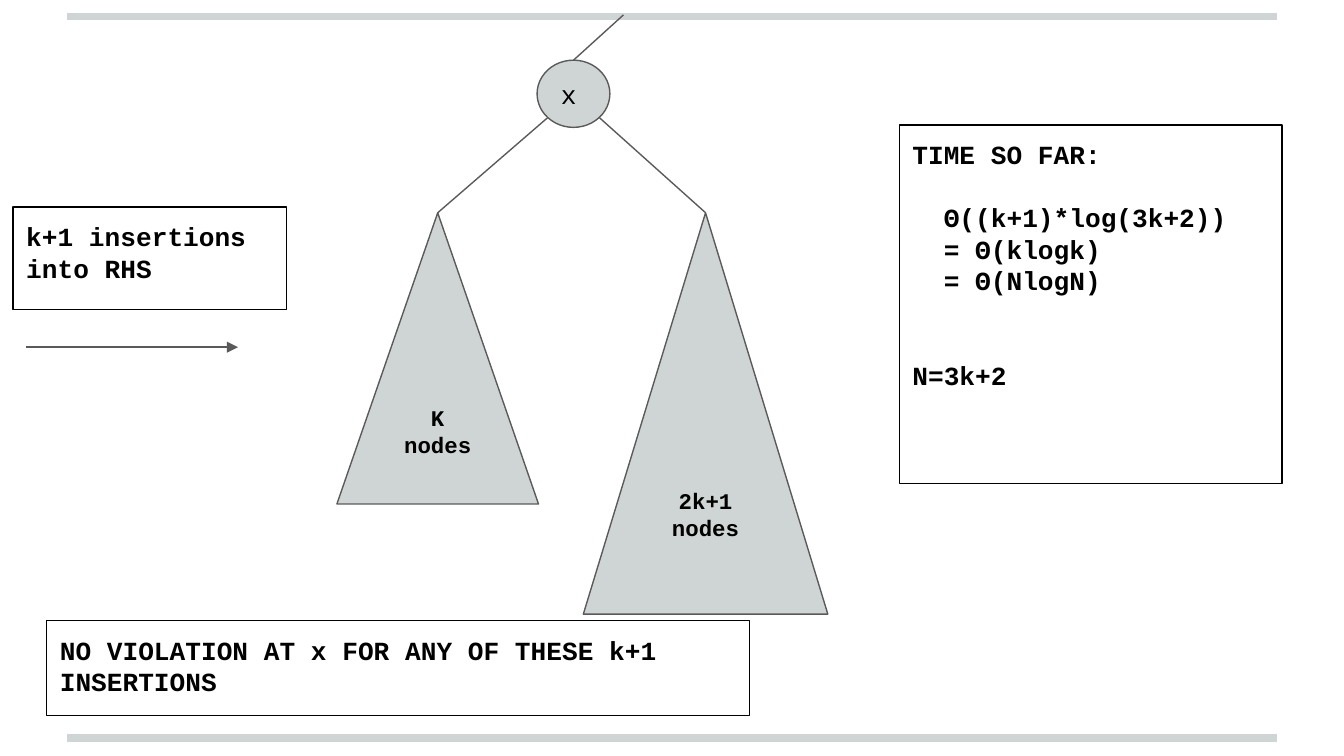
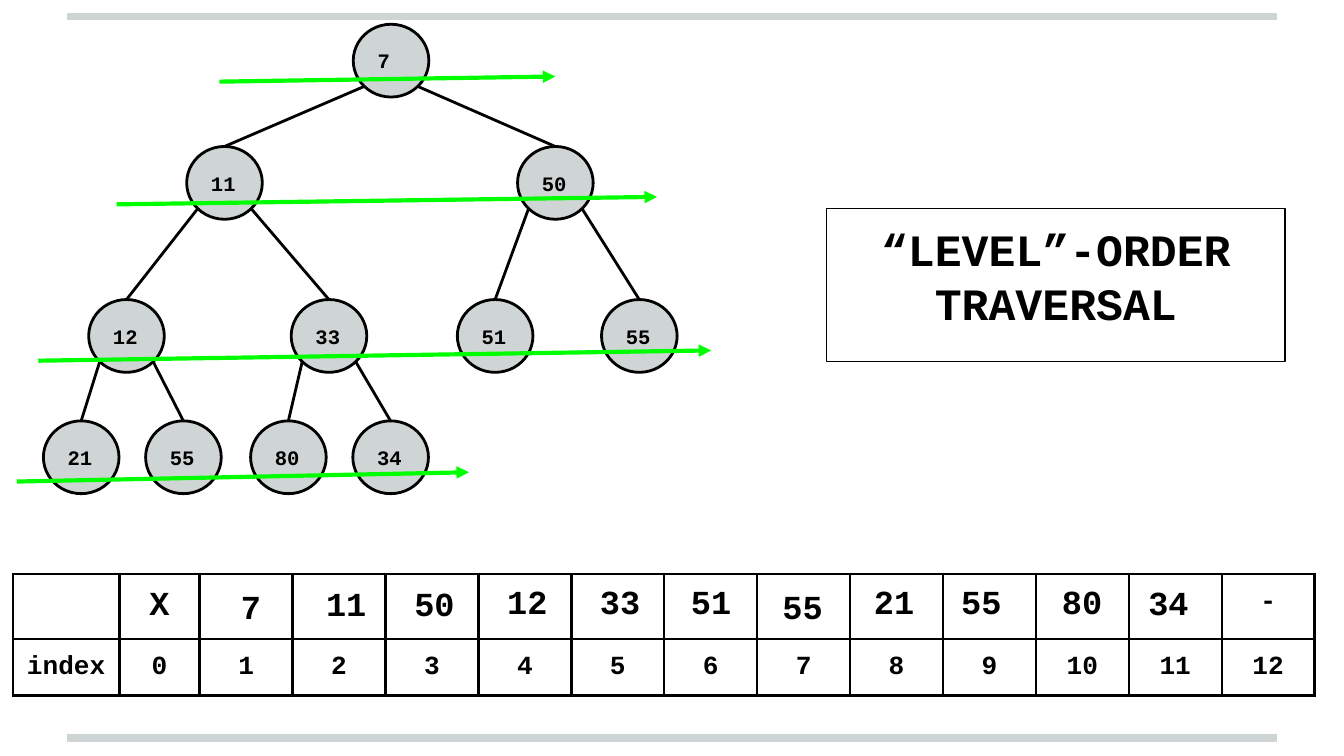
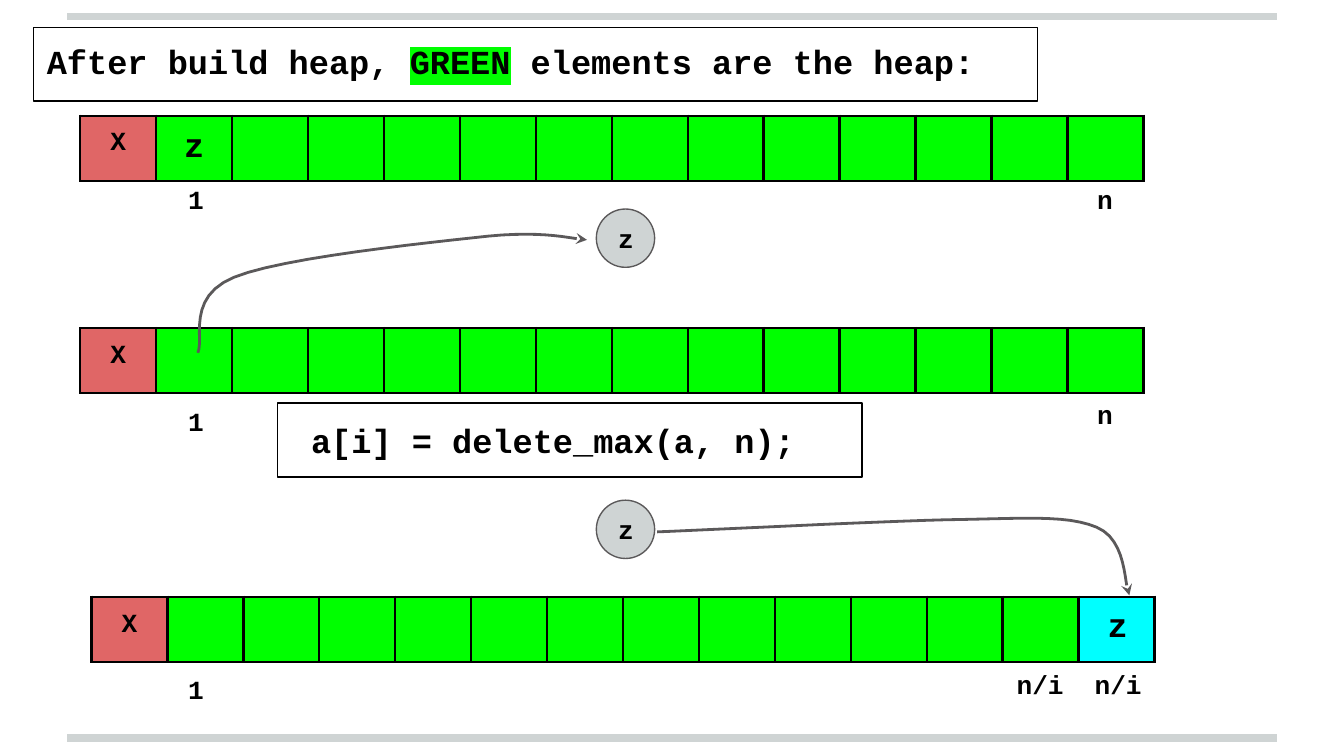
"""Build three slides on heap insertion, level-order storage and heap sort."""
from dataclasses import dataclass

from lxml import etree
from pptx import Presentation
from pptx import util as u
from pptx.dml.color import RGBColor
from pptx.enum import shapes, text
from pptx.oxml.ns import qn


@dataclass(frozen=True)
class Theme:
    """Colours, font and type sizes of the deck."""
    font: str = "Courier New"
    black: str = "000000"
    grey: str = "CFD4D4"
    dark: str = "5B595A"
    green: str = "00FF00"
    red: str = "E06666"
    cyan: str = "00FFFF"
    tiny: float = 11
    small: float = 12
    body: float = 14
    large: float = 18
    title: float = 24
    thin: float = 0.75
    thick: float = 1.5
    arrow: float = 2.25
    band: float = 4
    inset: float = 7.2


T = Theme()
LEFT, CENTER = text.PP_ALIGN.LEFT, text.PP_ALIGN.CENTER
TOP, MIDDLE = text.MSO_ANCHOR.TOP, text.MSO_ANCHOR.MIDDLE
OVAL, RECT = shapes.MSO_SHAPE.OVAL, shapes.MSO_SHAPE.RECTANGLE
TRIANGLE = shapes.MSO_SHAPE.ISOSCELES_TRIANGLE


def pts(*values):
    """Turn numbers into point lengths."""
    return [u.Pt(v) for v in values]


def rgb(value):
    """Turn a hex string into a colour."""
    return RGBColor.from_string(value)


def style_text(tf, size, align=LEFT, anchor=TOP, bold=True):
    """Format every run of a text frame."""
    tf.word_wrap = True
    tf.vertical_anchor = anchor
    tf.margin_left = tf.margin_right = tf.margin_top = tf.margin_bottom = u.Pt(T.inset)
    for p in tf.paragraphs:
        p.alignment = align
        for r in p.runs:
            r.font.name, r.font.size, r.font.bold = T.font, u.Pt(size), bold
            r.font.color.rgb = rgb(T.black)


def add_label(s, label, at, size, anchor=TOP):
    """Add a centred label without an outline."""
    tf = s.shapes.add_textbox(*pts(*at)).text_frame
    tf.text = label
    style_text(tf, size, CENTER, anchor)


def add_figure(s, kind, label, at, size, align=LEFT, anchor=MIDDLE, bold=True,
               fill=T.grey, line=T.dark, width=T.thin):
    """Add a preset shape with text in it."""
    sp = s.shapes.add_shape(kind, *pts(*at))
    sp.shadow.inherit = False
    if fill:
        sp.fill.solid()
        sp.fill.fore_color.rgb = rgb(fill)
    else:
        sp.fill.background()
    sp.line.color.rgb, sp.line.width = rgb(line), u.Pt(width)
    sp.text_frame.text = label
    style_text(sp.text_frame, size, align, anchor, bold)
    return sp


def add_box(s, label, at, size, align=LEFT, anchor=TOP):
    """Add an outlined text box."""
    return add_figure(s, RECT, label, at, size, align, anchor, fill=None, line=T.black)


def add_head(sp, kind):
    """Put an arrowhead on the far end of a line."""
    etree.SubElement(sp.element.spPr.find(qn("a:ln")), qn("a:tailEnd"), type=kind)


def add_line(s, ends, color=T.dark, width=T.thin, head=None):
    """Add a straight line, with an arrowhead if one is named."""
    cn = s.shapes.add_connector(shapes.MSO_CONNECTOR.STRAIGHT, *pts(*ends))
    cn.line.color.rgb, cn.line.width = rgb(color), u.Pt(width)
    if head:
        add_head(cn, head)
    etree.SubElement(cn.element.spPr, qn("a:effectLst"))
    return cn


def add_edge(s, parent, child, color=T.dark, width=T.thin):
    """Join the lower side of a round node to the top of its child."""
    side = -1 if child.left < parent.left else 1
    x = parent.left + parent.width * (0.5 + side * 0.354)
    y = parent.top + parent.height * 0.854
    cn = add_line(s, (u.Emu(int(x)).pt, u.Emu(int(y)).pt, 0, 0), color, width)
    cn.end_connect(child, 0)


def add_curve(s, start, curves, steps=12):
    """Add an open arrow along cubic curves."""
    points, origin = [], start
    for a, b, end in curves:
        for i in range(1, steps + 1):
            t = i / steps
            weights = ((1 - t) ** 3, 3 * t * (1 - t) ** 2, 3 * t * t * (1 - t), t ** 3)
            points.append(pts(*(sum(w * q for w, q in zip(weights, axis))
                                for axis in zip(origin, a, b, end))))
        origin = end
    builder = s.shapes.build_freeform(*pts(*start))
    builder.add_line_segments(points, close=False)
    sp = builder.convert_to_shape()
    sp.shadow.inherit = False
    sp.fill.background()
    sp.line.color.rgb, sp.line.width = rgb(T.dark), u.Pt(T.thick)
    add_head(sp, "stealth")


def style_cell(cell, label, size, fill):
    """Fill in a cell and give it black borders."""
    cell.text_frame.text = label
    style_text(cell.text_frame, size, CENTER)
    cell.margin_left = cell.margin_right = cell.margin_top = cell.margin_bottom = u.Pt(T.inset)
    cell.vertical_anchor = TOP
    if not label:
        end = etree.SubElement(cell.text_frame.paragraphs[0]._p, qn("a:endParaRPr"),
                               sz=str(T.large * 100))
        etree.SubElement(end, qn("a:latin"), typeface=T.font)
    if fill:
        cell.fill.solid()
        cell.fill.fore_color.rgb = rgb(fill)
    else:
        cell.fill.background()
    tc_pr = cell._tc.get_or_add_tcPr()
    for i, side in enumerate(("lnL", "lnR", "lnT", "lnB")):
        ln = etree.Element(qn(f"a:{side}"), w=str(u.Pt(T.thick)))
        paint = etree.SubElement(ln, qn("a:solidFill"))
        etree.SubElement(paint, qn("a:srgbClr"), val=T.black)
        tc_pr.insert(i, ln)


def add_grid(s, left, top, widths, heights, cells):
    """Add a table whose cells are (label, size, fill)."""
    frame = s.shapes.add_table(len(heights), len(widths),
                               *pts(left, top, sum(widths), sum(heights)))
    tb = frame.table
    tb.first_row = tb.horz_banding = False
    for column, width in zip(tb.columns, widths):
        column.width = u.Pt(width)
    for row, height, line in zip(tb.rows, heights, cells):
        row.height = u.Pt(height)
        for cell, content in zip(row.cells, line):
            style_cell(cell, *content)


def add_array(s, left, top, first="", last=T.green):
    """Add a one-row array of 14 cells with an unused cell 0."""
    cells = [("X", T.body, T.red), (first, T.large, T.green)]
    cells += [("", T.large, T.green)] * 11 + [("", T.large, last)]
    add_grid(s, left, top, [40.7] * 14, [30], [cells])


def add_bands(prs, s):
    """Put the top and bottom bands on the slide master."""
    for number, y in enumerate((395.5, 8.75), 100):
        cn = add_line(s, (36, y, 684, y), T.grey, T.band)
        cn.element.xpath(".//p:cNvPr")[0].set("id", str(number))
        prs.slide_master.shapes.element.append(cn.element)


def build_insertions(s):
    """Show the subtree sizes after k+1 insertions."""
    add_box(s, "k+1 insertions into RHS", (7, 111, 146.5, 55), T.body)
    add_line(s, (14, 186, 127.5, 186), head="triangle")
    x = add_figure(s, OVAL, "x", (287.75, 32.25, 39, 36), T.body, bold=False)
    for label, at in (("K nodes", (180.5, 114, 108, 156)),
                      ("2k+1 nodes", (312.5, 114, 131, 215))):
        add_edge(s, x, add_figure(s, TRIANGLE, label, at, T.small, CENTER))
    add_line(s, (0, 0, 334, 8)).begin_connect(x, 0)
    add_box(s, "NO VIOLATION AT x FOR ANY OF THESE k+1 INSERTIONS",
            (25, 332.5, 376.5, 51), T.body)
    times = add_box(s, "TIME SO FAR:\nΘ((k+1)*log(3k+2))\n= Θ(klogk)\n= Θ(NlogN)\nN=3k+2",
                    (481.75, 67, 205, 192), T.body)
    lines = times.text_frame.paragraphs
    for p in lines[1:4]:
        p._p.get_or_add_pPr().set("marL", str(u.Pt(16.8)))
    lines[1].space_before, lines[4].space_before = pts(17, 34)


def build_level_order(s):
    """Show a heap, its level order and its array."""
    tops = (13, 78.5, 160.5, 225.5)
    heap = [("7", 189.25), ("11", 100), ("50", 277.25), ("12", 47.5), ("33", 156),
            ("51", 245), ("55", 322.25), ("21", 23.25), ("55", 78), ("80", 134.25),
            ("34", 189)]
    nodes = []
    for i, (label, left) in enumerate(heap):
        top = tops[(i + 1).bit_length() - 1]
        nodes.append(add_figure(s, OVAL, label, (left, top, 40.5, 39), T.tiny,
                                line=T.black, width=T.thick))
        if i:
            add_edge(s, nodes[(i - 1) // 2], nodes[i], T.black, T.thick)

    values = [("", T.large, None), ("X", T.large, None)]
    values += [("", T.large, None)] * 11 + [("-", T.body, None)]
    indexes = [(str(v), T.body, None) for v in ("index", *range(13))]
    add_grid(s, 7, 307.5, [57, 43] + [49.8] * 12, [31, 30], [values, indexes])
    places = [(113.5, 306.5), (164.5, 305), (211.75, 305), (261.5, 304), (311.25, 304),
              (360, 304), (409, 306.5), (458, 304), (504.75, 304), (558.75, 304),
              (605, 304.5)]
    for (label, _), place in zip(heap, places):
        add_label(s, label, (*place, 42, 31.5), T.large)

    add_box(s, "“LEVEL”-ORDER TRAVERSAL", (442.75, 111.75, 245.75, 82), T.title, CENTER)
    for ends in ((117.5, 43.75, 297.5, 41), (62.5, 109.5, 352, 105.5),
                 (20.5, 193.25, 381, 187.75), (9, 258, 251.25, 253)):
        add_line(s, ends, T.green, T.arrow, "triangle")


def build_delete_max(s):
    """Show the maximum leaving the heap and moving to its end."""
    add_array(s, 43, 62, first="z")
    add_array(s, 43, 175.75)
    add_array(s, 49, 319.75, last=T.cyan)
    intro = add_box(s, "After build heap, ", (18, 14.75, 537.75, 39.5), T.large)
    p = intro.text_frame.paragraphs[0]
    for words in ("GREEN", " elements are the heap:"):
        p.add_run().text = words
    style_text(intro.text_frame, T.large)
    mark = etree.Element(qn("a:highlight"))
    etree.SubElement(mark, qn("a:srgbClr"), val=T.green)
    p.runs[1].font._element.find(qn("a:latin")).addprevious(mark)
    add_box(s, " a[i] = delete_max(a, n);", (148.75, 216, 313, 39.5), T.large, anchor=MIDDLE)

    for label, left, top, width in (("1", 89.5, 91, 31), ("n", 576.5, 91, 31),
                                    ("1", 89.5, 210, 31), ("n", 576.5, 206, 31),
                                    ("1", 89.5, 353.75, 31), ("n/i", 537.25, 351, 40),
                                    ("n/i", 579, 351, 40)):
        add_label(s, label, (left, top, width, 26.5), T.body)
    add_label(s, "z", (583.25, 321.25, 31, 26.5), T.large, MIDDLE)

    for top in (112, 268):
        add_figure(s, OVAL, "z", (319.5, top, 31.25, 31.25), T.body)
    add_curve(s, (106, 189), [((109.5, 182), (99.5, 159), (125.5, 148.5)),
                              ((151, 138), (229.5, 130), (261.5, 126.5)),
                              ((293, 123.5), (306, 128), (314.5, 128.5))])
    add_curve(s, (352, 285), [((378, 284), (467, 279.5), (507, 278.5)),
                              ((546, 278), (571, 275.5), (587.5, 282.5)),
                              ((604, 289.5), (602, 313), (605, 319))])


def main():
    """Build the deck and save it."""
    prs = Presentation()
    prs.slide_width, prs.slide_height = pts(720, 405)
    for number, build in enumerate((build_insertions, build_level_order, build_delete_max)):
        s = prs.slides.add_slide(prs.slide_layouts[6])
        if number == 0:
            add_bands(prs, s)
        build(s)
    prs.save("out.pptx")


if __name__ == "__main__":
    main()
